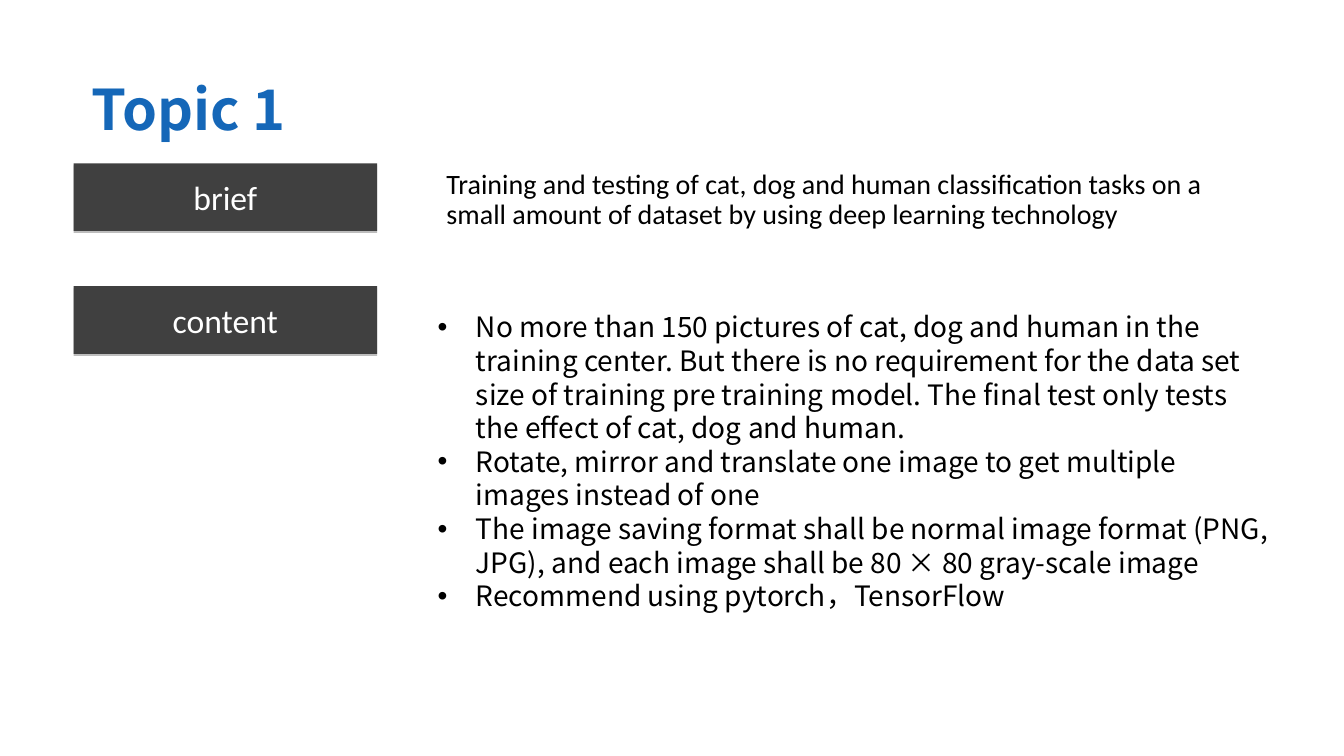
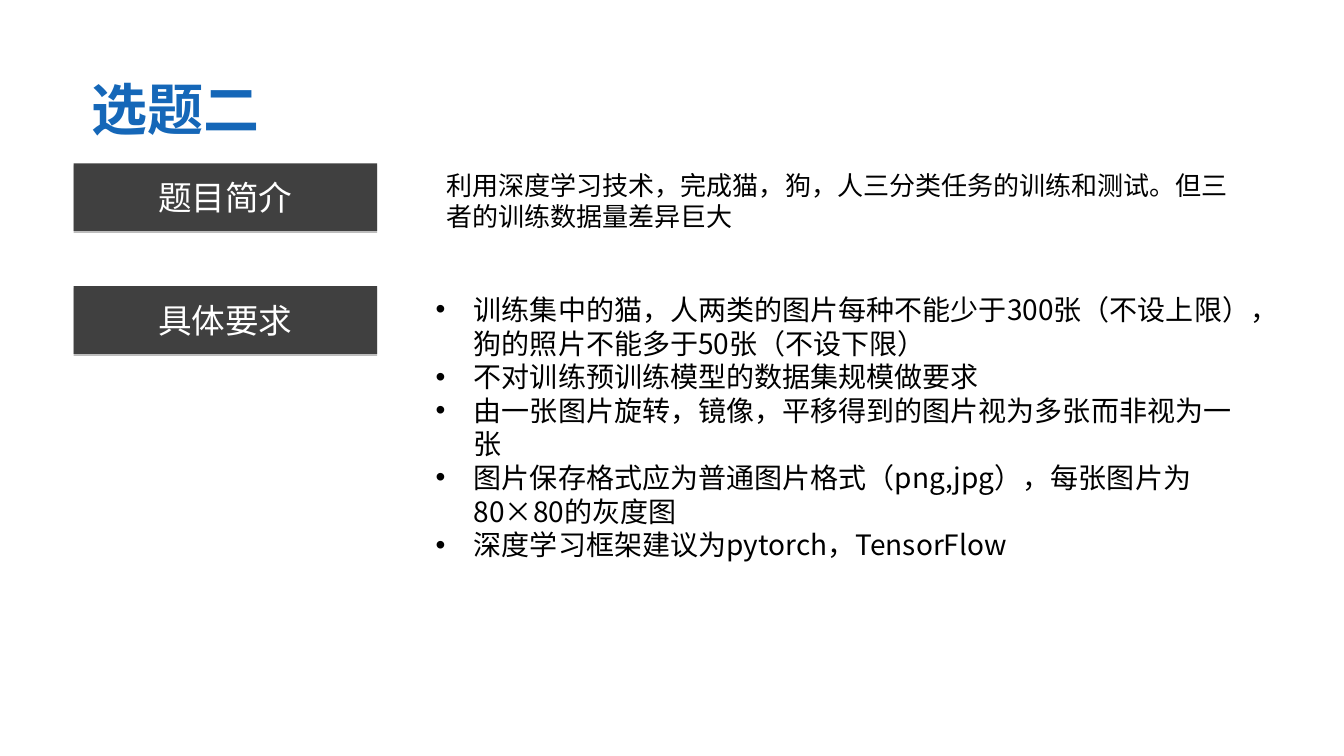
from dataclasses import dataclass

from lxml.etree import SubElement as Sub
from pptx import Presentation
from pptx.dml.color import RGBColor as Rgb
from pptx.enum.shapes import MSO_SHAPE as Shape
from pptx.enum.text import MSO_ANCHOR as Anchor, MSO_AUTO_SIZE as Fit, PP_ALIGN as Align
from pptx.oxml.ns import qn
from pptx.util import Inches, Pt


@dataclass(frozen=True)
class Theme:
    blue: str = "1567B8"
    dark: str = "404040"
    white: str = "FFFFFF"
    black: str = "000000"
    sans: str = "Calibri"
    cjk: str = "Noto Sans CJK SC"
    title: float = 40
    label: float = 24
    body: float = 20


T = Theme()

TOPICS = [
    {
        "title": "Topic 1",
        "labels": ("brief", "content"),
        "brief": "Training and testing of cat, dog and human classification tasks on a small amount of dataset by using deep learning technology",
        "font": (T.sans, 20, 0.9),
        "items": [
            "No more than 150 pictures of cat, dog and human in the training center. But there is no requirement for the data set size of training pre training model. The final test only tests the effect of cat, dog and human.",
            "Rotate, mirror and translate one image to get multiple images instead of one",
            "The image saving format shall be normal image format (PNG, JPG), and each image shall be 80 × 80 gray-scale image",
            "Recommend using pytorch，TensorFlow",
        ],
        "area": (4.24, 2.84, 8.49, 3.47),
    },
    {
        "title": "选题二",
        "labels": ("题目简介", "具体要求"),
        "brief": "利用深度学习技术，完成猫，狗，人三分类任务的训练和测试。但三者的训练数据量差异巨大",
        "font": (T.cjk, 18.6, 1.0),
        "items": [
            "训练集中的猫，人两类的图片每种不能少于300张（不设上限），狗的照片不能多于50张（不设下限）",
            "不对训练预训练模型的数据集规模做要求",
            "由一张图片旋转，镜像，平移得到的图片视为多张而非视为一张",
            "图片保存格式应为普通图片格式（png,jpg），每张图片为80×80的灰度图",
            "深度学习框架建议为pytorch，TensorFlow",
        ],
        "area": (4.22, 2.84, 8.3, 2.79),
    },
]

HEAD = (0.78, 0.73, 10.6, 0.69)
BRIEF = (4.33, 1.63, 8.08, 0.72)
LEFT, TOP, WIDE, HIGH, STEP = 0.73, 1.62, 3.01, 0.67, 1.22
HANG = Inches(0.38)


def place(box, area):
    box.left, box.top, box.width, box.height = map(Inches, area)


def style(box, face, size, color, bold=False, align=Align.LEFT, gap=None):
    frame = box.text_frame
    frame.word_wrap = True
    frame.auto_size = Fit.NONE
    frame.vertical_anchor = Anchor.MIDDLE
    for para in frame.paragraphs:
        para.alignment = align
        para.space_before = Pt(0)
        if gap:
            para.line_spacing = gap
        for run in para.runs:
            font = run.font
            font.name, font.size, font.bold = face, Pt(size), bold
            font.color.rgb = Rgb.from_string(color)
            if face == T.cjk:
                Sub(run._r.get_or_add_rPr(), qn("a:ea"), typeface=face)


def shade(box):
    box.shadow.inherit = False
    node = box._element.spPr.find(qn("a:effectLst"))
    drop = Sub(node, qn("a:outerShdw"), blurRad="0", dist=str(Pt(1.6)),
               dir="5400000", algn="t", rotWithShape="0")
    tint = Sub(drop, qn("a:srgbClr"), val=T.black)
    Sub(tint, qn("a:alpha"), val="25000")


def add_label(slide, text, row):
    box = slide.shapes.add_shape(
        Shape.RECTANGLE, *map(Inches, (LEFT, TOP + row * STEP, WIDE, HIGH)))
    box.fill.solid()
    box.fill.fore_color.rgb = Rgb.from_string(T.dark)
    box.line.fill.background()
    shade(box)
    box.text_frame.text = text
    style(box, T.sans, T.label, T.white, align=Align.CENTER)


def add_title(slide, text):
    box = slide.shapes.title
    place(box, HEAD)
    frame = box.text_frame
    frame.text = text
    frame.margin_left = frame.margin_right = Inches(0.13)
    frame.margin_top = frame.margin_bottom = Inches(0.07)
    style(box, T.cjk, T.title, T.blue, True, Align.JUSTIFY)


def add_brief(slide, text, face, size, gap):
    box = slide.shapes.add_textbox(*map(Inches, BRIEF))
    box.text_frame.text = text
    style(box, face, size, T.black, gap=gap)


def add_list(slide, items, area):
    box = slide.placeholders[1]
    place(box, area)
    box.text_frame.text = "\n".join(items)
    for para in box.text_frame.paragraphs:
        props = para._p.get_or_add_pPr()
        props.set("marL", str(HANG))
        props.set("indent", str(-HANG))
        Sub(props, qn("a:buFont"), typeface="Arial")
        Sub(props, qn("a:buChar"), char="•")
    style(box, T.cjk, T.body, T.black)


def main():
    deck = Presentation()
    deck.slide_width, deck.slide_height = Inches(13.33), Inches(7.5)
    for topic in TOPICS:
        slide = deck.slides.add_slide(deck.slide_layouts[1])
        add_title(slide, topic["title"])
        for row, text in enumerate(topic["labels"]):
            add_label(slide, text, row)
        add_brief(slide, topic["brief"], *topic["font"])
        add_list(slide, topic["items"], topic["area"])
    deck.save("out.pptx")


if __name__ == "__main__":
    main()
